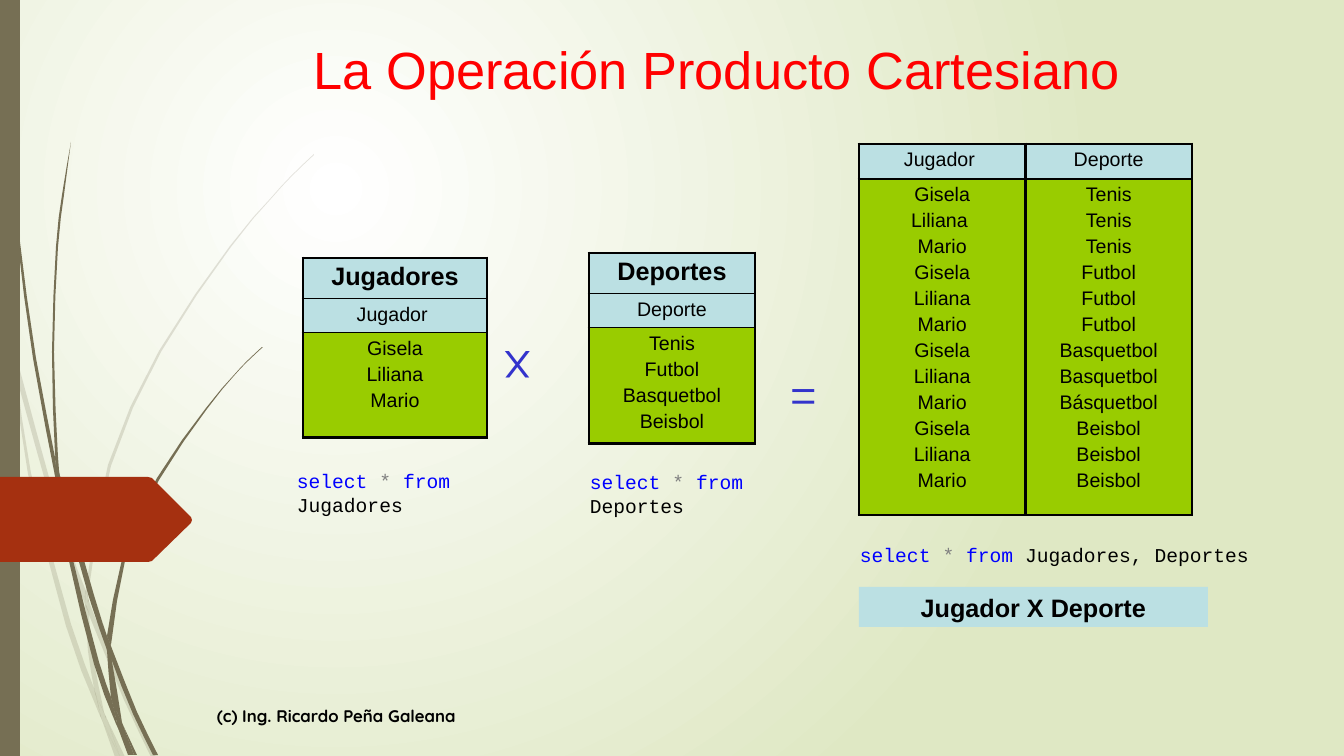
"""Build the slide that explains the Cartesian product of two tables."""
import lxml.etree
import pptx
import pptx.dml.color
import pptx.enum.shapes
import pptx.enum.text
import pptx.oxml
import pptx.oxml.ns
import pptx.util

RGBColor = pptx.dml.color.RGBColor
ALIGN = pptx.enum.text.PP_ALIGN
ANCHOR = pptx.enum.text.MSO_ANCHOR
RECTANGLE = pptx.enum.shapes.MSO_SHAPE.RECTANGLE

BLACK = RGBColor(0, 0, 0)
WHITE = RGBColor(255, 255, 255)
RED = RGBColor(255, 0, 0)
BLUE = RGBColor(0, 0, 255)
GRAY = RGBColor(128, 128, 128)
SILVER = RGBColor(178, 178, 178)
INDIGO = RGBColor(51, 51, 204)
PALE_BLUE = RGBColor(187, 224, 227)
LIME = RGBColor(153, 204, 0)
OLIVE = RGBColor(118, 111, 84)
RUST = RGBColor(165, 48, 16)
PALE_GREEN = RGBColor(223, 232, 196)

EMU_PER_PX = 12192000 / 1344
WIDTH, HEIGHT = 1344, 756
THICK, THIN = 2.25, 1
LINE_GAP = 2.8

TITLE = "La Operación Producto Cartesiano"
FOOTER = "(c) Ing. Ricardo Peña Galeana"
RESULT = "Jugador X Deporte"

TABLES = [
    dict(name="Jugadores", place=(303, 258), width=184, heights=(39, 34, 105),
         columns={"Jugador ": ["Gisela", "Liliana", "Mario"]}),
    dict(name="Deportes", place=(589, 253), width=166, heights=(39, 34, 116),
         columns={"Deporte": ["Tenis", "Futbol", "Basquetbol", "Beisbol"]}),
    dict(name=None, place=(859, 144), width=333, heights=(35, 336),
         columns={
             "Jugador ": ["Gisela", "Liliana ", "Mario"] + ["Gisela", "Liliana", "Mario"] * 3,
             "Deporte": ["Tenis"] * 3 + ["Futbol"] * 3
             + ["Basquetbol", "Basquetbol", "Básquetbol"] + ["Beisbol"] * 3}),
]
QUERIES = [
    ("Jugadores", (287, 464, 175, 57)),
    ("Deportes", (580, 465, 175, 57)),
    ("Jugadores, Deportes", (850, 538, 428, 34)),
]
SYMBOLS = [("x", (486, 360, 63, 47), 180), ("=", (772, 359, 63, 47), 0)]

FAINT_BLADES = [
    ([(0, 284), (9, 325), (11, 353)], [(0, 301), (10, 347), (11, 353)]),
    ([(14, 348), (62, 524), (86, 591)], [(17, 379), (58, 526), (85, 604)]),
    ([(89, 615), (124, 700), (151, 757)], [(89, 601), (93, 612), (128, 698), (156, 757)]),
    ([(106, 717), (120, 757)], [(106, 717), (125, 757)]),
    ([(11, 353), (28, 474), (66, 626), (93, 699), (102, 720)],
     [(11, 353), (17, 379), (31, 473), (71, 624), (94, 688), (100, 713), (102, 720)]),
    ([(85, 604), (88, 651), (94, 688), (97, 698), (106, 717)],
     [(85, 604), (89, 613), (92, 651), (104, 712), (106, 717)]),
    ([(314, 154), (291, 176), (270, 199), (230, 246), (159, 351), (108, 465), (86, 589), (86, 591)],
     [(314, 155), (292, 176), (270, 200), (231, 247), (161, 352), (111, 466), (89, 589), (89, 601)]),
    ([(102, 720), (115, 757)], [(102, 720), (120, 757)]),
    ([(86, 591), (89, 601), (89, 615)], [(86, 591), (85, 604), (89, 613)]),
    ([(94, 688), (100, 713), (102, 720), (120, 757)],
     [(94, 688), (97, 698), (106, 717), (120, 757)]),
]
SOLID_BLADES = [
    ([(3, 0), (4, 48), (7, 111), (17, 235), (33, 358), (56, 481), (57, 485)],
     [(4, 0), (5, 48), (8, 110), (19, 234), (36, 358), (55, 457), (57, 485)]),
    ([(60, 476), (94, 595), (107, 636)], [(60, 476), (65, 509), (89, 597), (107, 650)]),
    ([(111, 646), (112, 661), (133, 714), (153, 755)],
     [(111, 646), (114, 654), (137, 712), (158, 755)]),
    ([(57, 481), (69, 561), (94, 664), (112, 714), (118, 728)],
     [(57, 481), (65, 509), (73, 560), (99, 662), (111, 697), (117, 723), (118, 728)]),
    ([(71, 142), (62, 195), (56, 247), (52, 352), (55, 453), (60, 476)],
     [(71, 142), (64, 195), (58, 247), (54, 352), (58, 457), (60, 476)]),
    ([(123, 725), (134, 755)], [(123, 725), (137, 755)]),
    ([(55, 453), (57, 481), (65, 509)], [(55, 453), (60, 476), (65, 509)]),
    ([(262, 347), (247, 361), (233, 376), (206, 408), (157, 478), (123, 555), (107, 636)],
     [(263, 347), (247, 362), (233, 377), (207, 409), (159, 480), (126, 556), (112, 638), (111, 646)]),
    ([(118, 728), (128, 755)], [(118, 728), (132, 755)]),
    ([(107, 650), (111, 697), (117, 712), (123, 725)],
     [(107, 650), (112, 661), (122, 722), (123, 725)]),
    ([(107, 636), (107, 650), (112, 661)], [(107, 636), (111, 646), (112, 661)]),
    ([(111, 697), (117, 723), (118, 728), (131, 755)],
     [(111, 697), (117, 712), (123, 725), (134, 755)]),
]
ARROW = [(0, 477), (148, 477), (152, 478), (191, 517), (192, 520),
         (191, 523), (152, 561), (148, 562), (0, 562)]


def emu(*lengths):
    return [pptx.util.Emu(round(length * EMU_PER_PX)) for length in lengths]


def add_xml(parent, tag, **attributes):
    return lxml.etree.SubElement(parent, pptx.oxml.ns.qn(tag), attributes)


def paint(shape, color, alpha=None):
    shape.shadow.inherit = False
    shape.fill.solid()
    shape.fill.fore_color.rgb = color
    shape.line.fill.background()
    if alpha:
        add_xml(shape.fill._xPr.find(".//" + pptx.oxml.ns.qn("a:srgbClr")), "a:alpha", val=alpha)


def write(frame, lines, size=14, font="Arial", color=BLACK, bold=False, align=ALIGN.LEFT,
          anchor=ANCHOR.TOP, wrap=True):
    """Write lines, each a string or a list of (text, color) spans."""
    frame.word_wrap = wrap
    frame.vertical_anchor = anchor
    for index, line in enumerate(lines):
        para = frame.add_paragraph() if index else frame.paragraphs[0]
        para.alignment = align
        if index:
            para.space_before = pptx.util.Pt(LINE_GAP)
        for text, shade in [(line, color)] if isinstance(line, str) else line:
            span = para.add_run()
            span.text = text
            span.font.size = pptx.util.Pt(size)
            span.font.name = font
            span.font.bold = bold
            span.font.color.rgb = shade


def smooth(edge):
    """Add the midpoint of a smooth curve between each pair of neighbours."""
    padded = [edge[0], *edge, edge[-1]]
    points = [edge[0]]
    for before, start, end, after in zip(padded, padded[1:], padded[2:], padded[3:]):
        if len(edge) > 2:
            points.append(tuple((9 * (b + c) - a - d) / 16
                                for a, b, c, d in zip(before, start, end, after)))
        points.append(end)
    return points


def add_outline(page, points, color, alpha=None):
    corners = [emu(*point) for point in points]
    builder = page.shapes.build_freeform(*corners[0])
    builder.add_line_segments(corners[1:])
    paint(builder.convert_to_shape(), color, alpha)


def add_relation(page, name, place, width, heights, columns):
    rows = [[name]] if name else []
    rows += [list(columns), list(columns.values())]
    frame = page.shapes.add_table(len(rows), len(columns), *emu(*place, width, sum(heights)))
    table = frame.table
    table.first_row = table.horz_banding = False
    for column in table.columns:
        column.width = emu(width / len(columns))[0]
    last = len(rows) - 1
    for r, values in enumerate(rows):
        table.rows[r].height = emu(heights[r])[0]
        borders = {"a:lnL": THICK, "a:lnR": THICK, "a:lnT": THIN if r else THICK,
                   "a:lnB": THICK if r == last else THIN}
        for c, value in enumerate(values):
            cell = table.cell(r, c)
            for tag, weight in borders.items():
                line = add_xml(cell._tc.get_or_add_tcPr(), tag, w=str(pptx.util.Pt(weight)))
                add_xml(add_xml(line, "a:solidFill"), "a:srgbClr", val=str(BLACK))
            cell.fill.solid()
            cell.fill.fore_color.rgb = LIME if r == last else PALE_BLUE
            is_name = bool(name) and r == 0
            write(cell.text_frame, value if r == last else [value], size=18 if is_name else 14,
                  bold=is_name, align=ALIGN.CENTER)


def add_text(page, place, lines, **style):
    box = page.shapes.add_textbox(*emu(*place))
    write(box.text_frame, lines, **style)
    return box


def add_symbol(page, text, place, rotation):
    box = add_text(page, place, [text], size=36, font="Montserrat", color=SILVER,
                   align=ALIGN.CENTER, wrap=False)
    box.rotation = rotation
    style = box.text_frame.paragraphs[0].runs[0].font._element
    add_xml(style.find(".//" + pptx.oxml.ns.qn("a:srgbClr")), "a:alpha", val="50000")
    line = add_xml(style, "a:ln", w=str(pptx.util.Pt(1)))
    add_xml(add_xml(line, "a:solidFill"), "a:srgbClr", val=str(INDIGO))
    style.insert(0, line)


def paint_background(page):
    fill = page.background.fill
    fill.gradient()
    for stop, color, position in zip(fill.gradient_stops, (WHITE, PALE_GREEN), (0, 1)):
        stop.color.rgb = color
        stop.position = position
    gradient = page.background._cSld.find(".//" + pptx.oxml.ns.qn("a:gradFill"))
    gradient.remove(gradient.find(pptx.oxml.ns.qn("a:lin")))
    circle = add_xml(gradient, "a:path", path="circle")
    add_xml(circle, "a:fillToRect", l="50000", t="50000", r="100000", b="100000")


def main():
    deck = pptx.Presentation()
    deck.slide_width, deck.slide_height = emu(WIDTH, HEIGHT)
    page = deck.slides.add_slide(deck.slide_layouts[6])
    paint_background(page)
    for blades, alpha in ((FAINT_BLADES, "20000"), (SOLID_BLADES, None)):
        for left, right in blades:
            add_outline(page, smooth(left) + smooth(right)[::-1], OLIVE, alpha)
    paint(page.shapes.add_shape(RECTANGLE, *emu(0, 0, 20, HEIGHT)), OLIVE)
    add_outline(page, ARROW, RUST)
    add_text(page, (207, 696, 840, 40), [FOOTER], size=12, font="Quicksand", bold=True,
             anchor=ANCHOR.MIDDLE)
    add_text(page, (304, 24, 876, 81), [TITLE], size=37.4, color=RED, anchor=ANCHOR.BOTTOM)
    for relation in TABLES:
        add_relation(page, **relation)
    for symbol in SYMBOLS:
        add_symbol(page, *symbol)
    banner = page.shapes.add_shape(RECTANGLE, *emu(859, 587, 349, 40))
    paint(banner, PALE_BLUE)
    write(banner.text_frame, [RESULT], size=18, bold=True, align=ALIGN.CENTER)
    for names, place in QUERIES:
        query = [("select ", BLUE), ("* ", GRAY), ("from ", BLUE), (names, BLACK)]
        add_text(page, place, [query], font="Courier New")
    deck.save("out.pptx")


if __name__ == "__main__":
    main()
